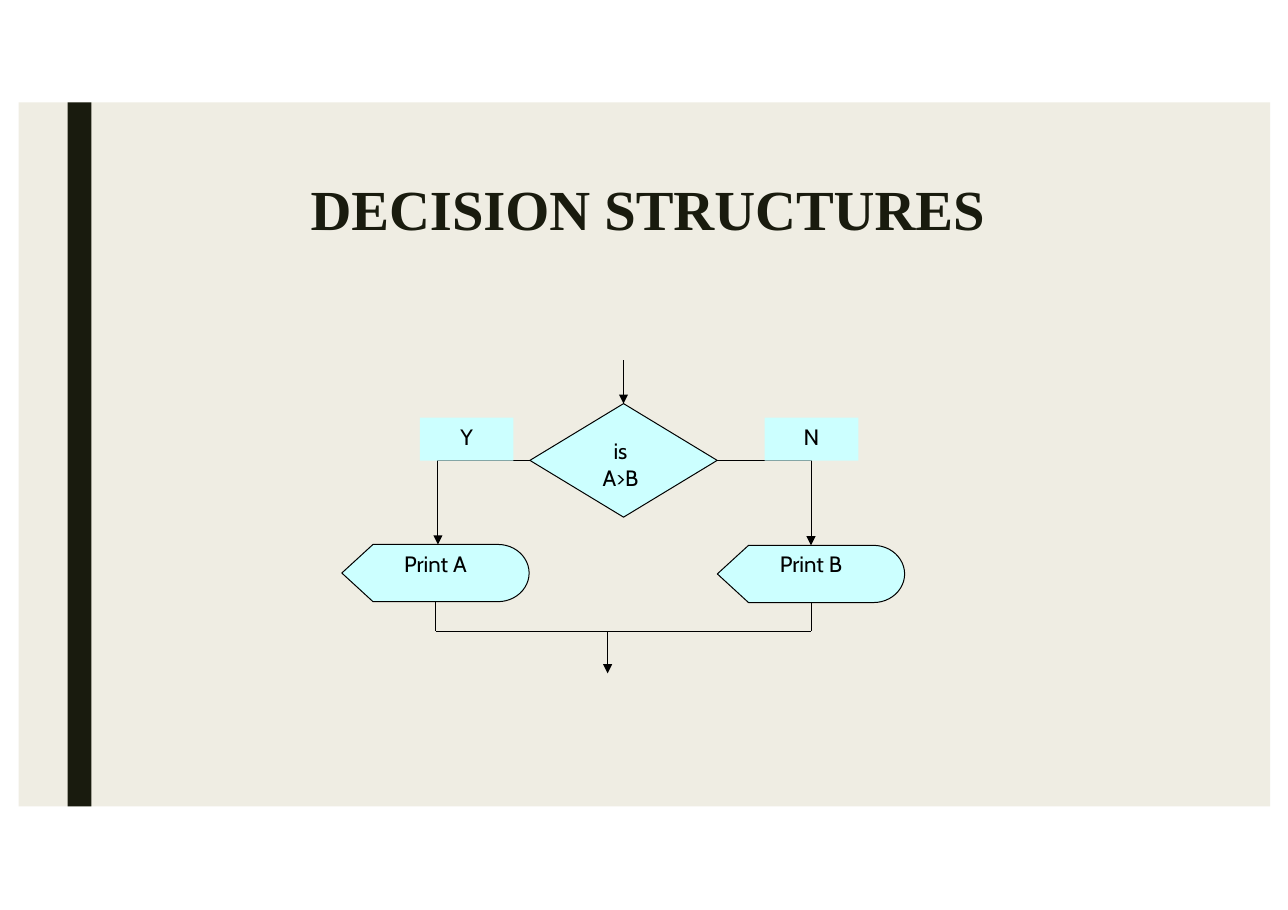
from lxml import etree
from pptx import Presentation
from pptx.dml.color import RGBColor
from pptx.enum import shapes, text
from pptx.oxml import ns
from pptx.util import Pt

CREAM = RGBColor(0xEF, 0xED, 0xE3)
DARK_OLIVE = RGBColor(0x19, 0x1B, 0x0E)
PALE_CYAN = RGBColor(0xCC, 0xFF, 0xFF)
BLACK = RGBColor(0, 0, 0)
LINE_WIDTH = 0.64
TOP, LEFT, BOTTOM, RIGHT = range(4)

# Flowchart grid, in points
SYMBOL_W, DECISION_H, DISPLAY_H = 122.4, 74.2, 37.4
LABEL_W, LABEL_H, LABEL_TOP = 61.2, 28.1, 272.9
DECISION_X, DECISION_Y = 407.5, 300.9
YES_X, YES_ARROW_X, NO_X = 284.6, 286.2, 530
YES_TOP, NO_TOP = 355.8, 356.4
MERGE_X, MERGE_Y = 397.1, 412.6


def add_block(slide, kind, left, top, width, height, fill, outlined=False):
    block = slide.shapes.add_shape(kind, Pt(left), Pt(top), Pt(width), Pt(height))
    block.shadow.inherit = False
    block.fill.solid()
    block.fill.fore_color.rgb = fill
    if outlined:
        block.line.color.rgb = BLACK
        block.line.width = Pt(LINE_WIDTH)
    else:
        block.line.fill.background()
    return block


def add_symbol(slide, kind, center_x, top, width, height, caption,
               outlined=True, right_inset=0):
    """Flowchart symbol with its caption centred near the top."""
    symbol = add_block(slide, kind, center_x - width / 2, top, width, height,
                       PALE_CYAN, outlined)
    frame = symbol.text_frame
    frame.word_wrap = True
    frame.vertical_anchor = text.MSO_ANCHOR.TOP
    frame.margin_left = frame.margin_bottom = 0
    frame.margin_top = Pt(3.6)
    frame.margin_right = Pt(right_inset)
    frame.text = caption
    line = frame.paragraphs[0]
    line.alignment = text.PP_ALIGN.CENTER
    line.font.name = "Cabin"
    line.font.size = Pt(14.5)
    line.font.color.rgb = BLACK
    return symbol


def add_flow(slide, x1, y1, x2, y2, arrow=False, source=None, target=None):
    """Straight flow line; source and target are (symbol, side) pairs."""
    flow = slide.shapes.add_connector(
        shapes.MSO_CONNECTOR.STRAIGHT, Pt(x1), Pt(y1), Pt(x2), Pt(y2))
    if source:
        flow.begin_connect(*source)
    if target:
        flow.end_connect(*target)
    flow.line.color.rgb = BLACK
    flow.line.width = Pt(LINE_WIDTH)
    if arrow:
        etree.SubElement(flow.line._get_or_add_ln(), ns.qn("a:tailEnd"), type="triangle")
    etree.SubElement(flow._element.spPr, ns.qn("a:effectLst"))


def set_title(slide, wording):
    title = slide.shapes.title
    slide.shapes._spTree.append(title._element)  # in front of the panel
    title.left, title.top, title.width, title.height = map(Pt, (58.3, 68.4, 771.1, 90))
    frame = title.text_frame
    frame.auto_size = text.MSO_AUTO_SIZE.NONE
    frame.vertical_anchor = text.MSO_ANCHOR.TOP
    frame.margin_left, frame.margin_top = Pt(144.7), Pt(45)
    frame.margin_right = frame.margin_bottom = 0
    frame.text = wording
    heading = frame.paragraphs[0]
    heading.alignment = text.PP_ALIGN.LEFT
    heading.font.name = "Times New Roman"
    heading.font.size = Pt(37)
    heading.font.bold = True
    heading.font.color.rgb = DARK_OLIVE


def add_flowchart(slide):
    kinds = shapes.MSO_SHAPE

    # Symbols
    decision_top = DECISION_Y - DECISION_H / 2
    decision = add_symbol(slide, kinds.FLOWCHART_DECISION, DECISION_X, decision_top,
                          SYMBOL_W, DECISION_H, "is\vA>B", right_inset=4)
    print_a, print_b = [
        add_symbol(slide, kinds.FLOWCHART_DISPLAY, x, top, SYMBOL_W, DISPLAY_H, caption)
        for x, top, caption in ((YES_X, YES_TOP, "Print A"), (NO_X, NO_TOP, "Print B"))]

    # Entry and branches
    add_flow(slide, DECISION_X, 235.4, DECISION_X, decision_top, True,
             target=(decision, TOP))
    add_flow(slide, DECISION_X, DECISION_Y, YES_ARROW_X, DECISION_Y,
             source=(decision, LEFT))
    add_flow(slide, DECISION_X, DECISION_Y, NO_X, DECISION_Y,
             source=(decision, RIGHT))
    add_flow(slide, YES_ARROW_X, DECISION_Y, YES_ARROW_X, YES_TOP, True)
    add_flow(slide, NO_X, DECISION_Y, NO_X, NO_TOP, True, target=(print_b, TOP))

    # Merge and exit
    for output, x in ((print_a, YES_X), (print_b, NO_X)):
        add_flow(slide, x, MERGE_Y, x, MERGE_Y, source=(output, BOTTOM))
    add_flow(slide, YES_X, MERGE_Y, NO_X, MERGE_Y)
    add_flow(slide, MERGE_X, MERGE_Y, MERGE_X, 440, True)

    # Branch labels
    for x, caption in ((304.9, "Y"), (NO_X + 0.3, "N")):
        add_symbol(slide, kinds.RECTANGLE, x, LABEL_TOP, LABEL_W, LABEL_H,
                   caption, outlined=False)


def main():
    deck = Presentation()
    deck.slide_width, deck.slide_height = Pt(841.7), Pt(594.7)
    slide = deck.slides.add_slide(deck.slide_layouts[5])

    # Panel and side bar
    for left, width, fill in ((12.2, 817.9, CREAM), (44.2, 15.5, DARK_OLIVE)):
        add_block(slide, shapes.MSO_SHAPE.RECTANGLE, left, 67, width, 460, fill)

    set_title(slide, "DECISION STRUCTURES")
    add_flowchart(slide)
    deck.save("out.pptx")


if __name__ == "__main__":
    main()
